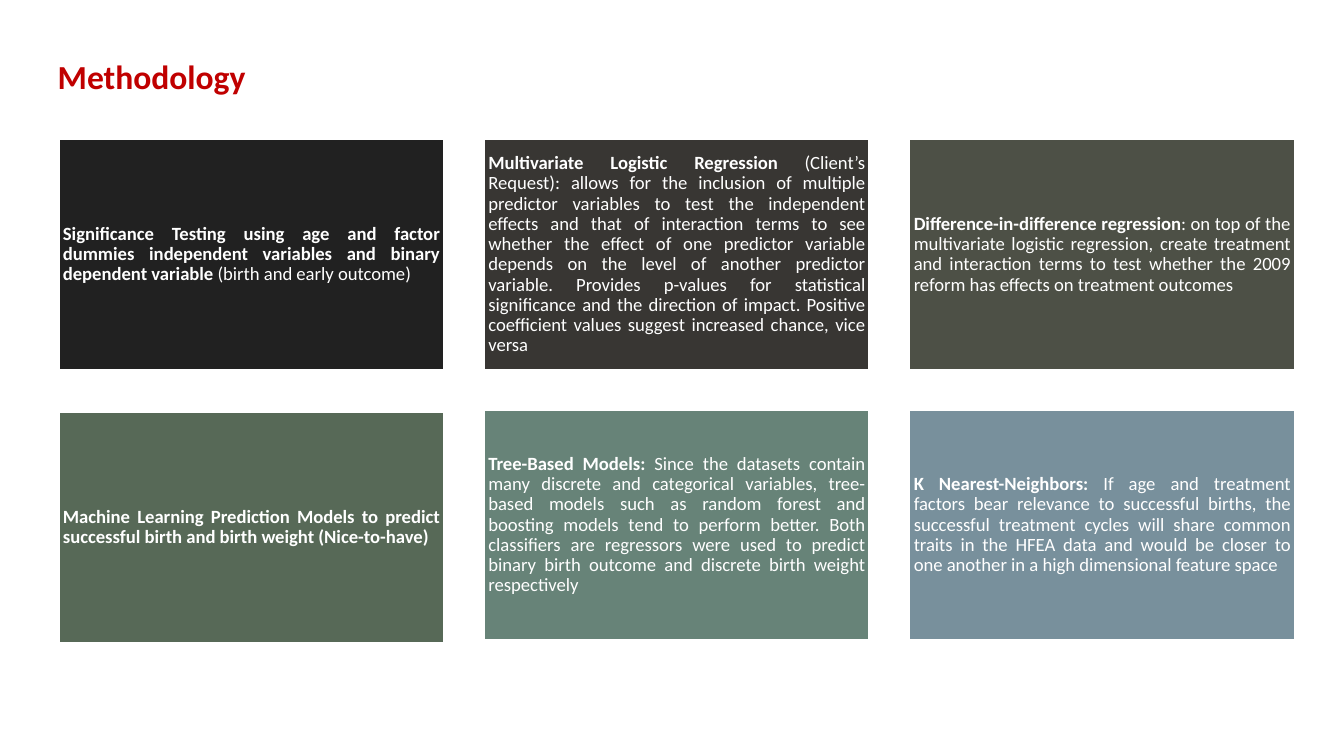
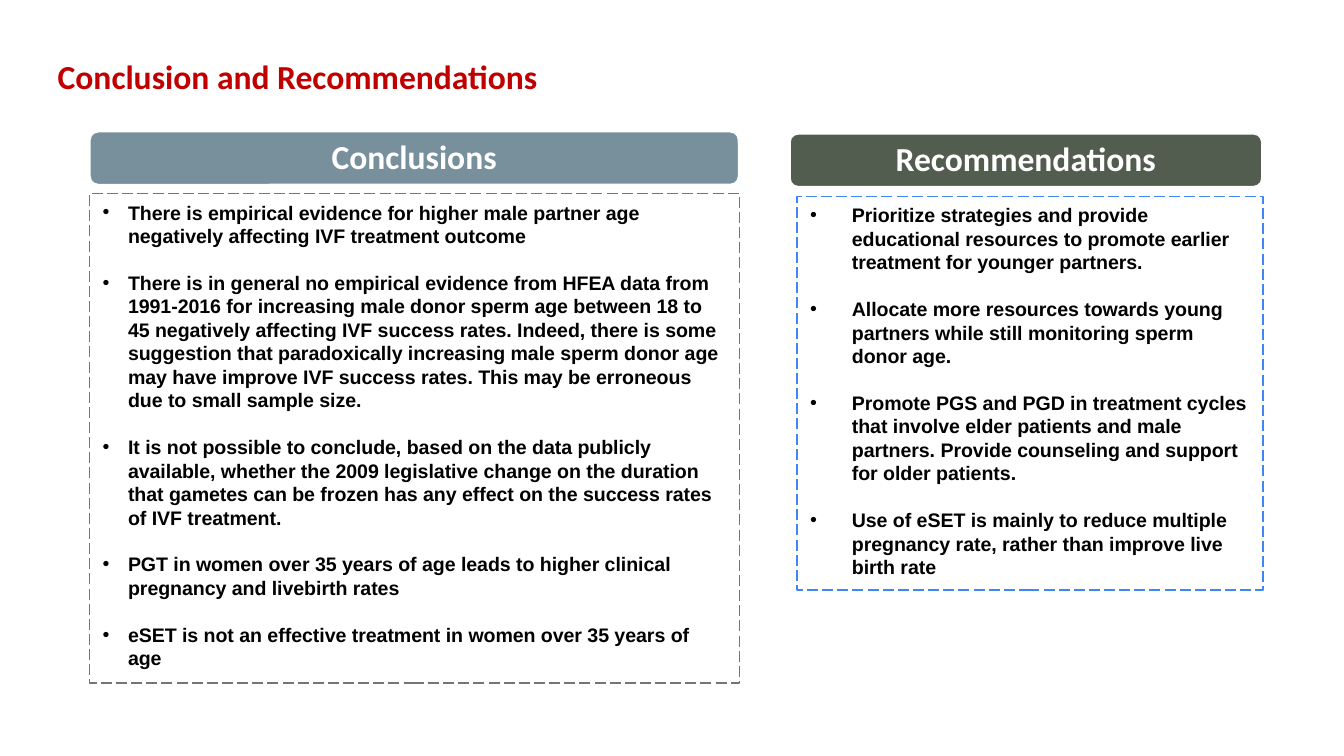
from dataclasses import dataclass
from pptx import Presentation
from pptx.dml.color import RGBColor
from pptx.enum import dml, shapes, text
from pptx.util import Cm, Pt

CARDS = [
    ("212121", "Significance Testing using age and factor dummies independent "
     "variables and binary dependent variable ", "(birth and early outcome)"),
    ("383633", "Multivariate Logistic Regression ",
     "(Client’s Request): allows for the inclusion of multiple predictor "
     "variables to test the independent effects and that of interaction terms "
     "to see whether the effect of one predictor variable depends on the level "
     "of another predictor variable. Provides p-values for statistical "
     "significance and the direction of impact. Positive coefficient values "
     "suggest increased chance, vice versa"),
    ("4D5046", "Difference-in-difference regression",
     ": on top of the multivariate logistic regression, create treatment and "
     "interaction terms to test whether the 2009 reform has effects on "
     "treatment outcomes"),
    ("576957", "Machine Learning Prediction Models to predict successful birth "
     "and birth weight (Nice-to-have)", ""),
    ("678378", "Tree-Based Models: ",
     "Since the datasets contain many discrete and categorical variables, "
     "tree-based models such as random forest and boosting models tend to "
     "perform better. Both classifiers are regressors were used to predict "
     "binary birth outcome and discrete birth weight respectively"),
    ("78909C", "K Nearest-Neighbors: ",
     "If age and treatment factors bear relevance to successful births, the "
     "successful treatment cycles will share common traits in the HFEA data "
     "and would be closer to one another in a high dimensional feature space"),
]

# head, head fill, head box, list box, list line, indent, items (cm)
PANELS = [
    ("Conclusions", "78909C", (1.68, 2.47, 12.3, 1.04),
     (1.69, 3.66, 12.29, 9.25), "757575", 0.48, [
        "There is empirical evidence for higher male partner age negatively "
        "affecting IVF treatment outcome",
        "There is in general no empirical evidence from HFEA data from "
        "1991-2016 for increasing male donor sperm age between 18 to 45 "
        "negatively affecting IVF success rates. Indeed, there is some "
        "suggestion that paradoxically increasing male sperm donor age may "
        "have improve IVF success rates. This may be erroneous due to small "
        "sample size.",
        "It is not possible to conclude, based on the data publicly available, "
        "whether the 2009 legislative change on the duration that gametes can "
        "be frozen has any effect on the success rates of IVF treatment.",
        "PGT in women over 35 years of age leads to higher clinical pregnancy "
        "and livebirth rates",
        "eSET is not an effective treatment in women over 35 years of age",
     ]),
    ("Recommendations", "525C4F", (14.91, 2.51, 8.96, 1.04),
     (15.06, 3.71, 8.81, 7.44), "4285F4", 0.79, [
        "Prioritize strategies and provide educational resources to promote "
        "earlier treatment for younger partners.",
        "Allocate more resources towards young partners while still monitoring "
        "sperm donor age.",
        "Promote PGS and PGD in treatment cycles that involve elder patients "
        "and male partners. Provide counseling and support for older patients.",
        "Use of eSET is mainly to reduce multiple pregnancy rate, rather than "
        "improve live birth rate",
     ]),
]


@dataclass(frozen=True)
class Theme:
    red: str = "C00000"
    white: str = "FFFFFF"
    black: str = "000000"
    head: str = "Calibri"
    body: str = "Arial"
    big: float = 18
    card: float = 10
    item: float = 10.5
    gap: float = 12.5


T = Theme()
LEFT, CENTER, JUST = (text.PP_ALIGN.LEFT, text.PP_ALIGN.CENTER,
                      text.PP_ALIGN.JUSTIFY)


def rgb(code):
    return RGBColor.from_string(code)


def place(shape, box):
    shape.left, shape.top, shape.width, shape.height = map(Cm, box)


def write(par, *runs, size, color, font=T.head, align=LEFT, space=0.9,
          before=0):
    """Fill a paragraph with runs; the first is bold, later ones plain."""
    par.alignment, par.line_spacing = align, space
    par.space_before, par.space_after = Pt(before), Pt(0)
    for i, words in enumerate(runs):
        if words:
            run = par.add_run()
            run.text = words
            run.font.name, run.font.size = font, Pt(size)
            run.font.bold = i == 0
            run.font.color.rgb = rgb(color)


def frame(shape, side, top, anchor=text.MSO_ANCHOR.MIDDLE):
    tf = shape.text_frame
    tf.word_wrap, tf.auto_size = True, text.MSO_AUTO_SIZE.NONE
    tf.vertical_anchor = anchor
    tf.margin_left = tf.margin_right = Cm(side)
    tf.margin_top = tf.margin_bottom = Cm(top)
    return tf


def block(slide, kind, box, fill, pad):
    shape = slide.shapes.add_shape(kind, *map(Cm, box))
    shape.shadow.inherit = False
    shape.fill.solid()
    shape.fill.fore_color.rgb = rgb(fill)
    shape.line.color.rgb = rgb(T.white)
    shape.line.width = Pt(2)
    return frame(shape, pad, pad).paragraphs[0]


def start(deck, layout, title):
    slide = deck.slides.add_slide(deck.slide_layouts[layout])
    place(slide.shapes.title, (1.09, 0.84, 20.35, 1.3))
    par = frame(slide.shapes.title, 0, 0).paragraphs[0]
    write(par, title, size=T.big, color=T.red)
    return slide


def method(deck):
    slide = start(deck, 5, "Methodology")
    for i, (fill, lead, rest) in enumerate(CARDS):
        row, col = divmod(i, 3)
        drop = 0.05 if (row, col) == (1, 0) else 0
        box = 1.09 + col * 8.04, 2.62 + row * 5.11 + drop, 7.32, 4.39
        par = block(slide, shapes.MSO_SHAPE.RECTANGLE, box, fill, 0.1)
        write(par, lead, rest, size=T.card, color=T.white, align=JUST)


def bullets(shape, box, line, indent, items):
    place(shape, box)
    shape.line.color.rgb = rgb(line)
    shape.line.width = Pt(0.75)
    shape.line.dash_style = dml.MSO_LINE.LONG_DASH
    tf = frame(shape, 0.25, 0.13, text.MSO_ANCHOR.TOP)
    for i, item in enumerate(items):
        par = tf.add_paragraph() if i else tf.paragraphs[0]
        props = par._p.get_or_add_pPr()
        props.set("marL", str(Cm(indent)))
        props.set("indent", str(-Cm(indent)))
        write(par, item, size=T.item, color=T.black, font=T.body, space=1.0,
              before=T.gap if i else 0)


def closing(deck):
    slide = start(deck, 3, "Conclusion and Recommendations")
    for i, (head, fill, top, box, line, indent, items) in enumerate(PANELS, 1):
        bullets(slide.placeholders[i], box, line, indent, items)
        par = block(slide, shapes.MSO_SHAPE.ROUNDED_RECTANGLE, top, fill, 0.18)
        write(par, head, size=T.big, color=T.white, align=CENTER)


def main():
    deck = Presentation()
    deck.slide_width, deck.slide_height = Cm(25.4), Cm(14.29)
    method(deck)
    closing(deck)
    deck.save("out.pptx")


if __name__ == "__main__":
    main()
